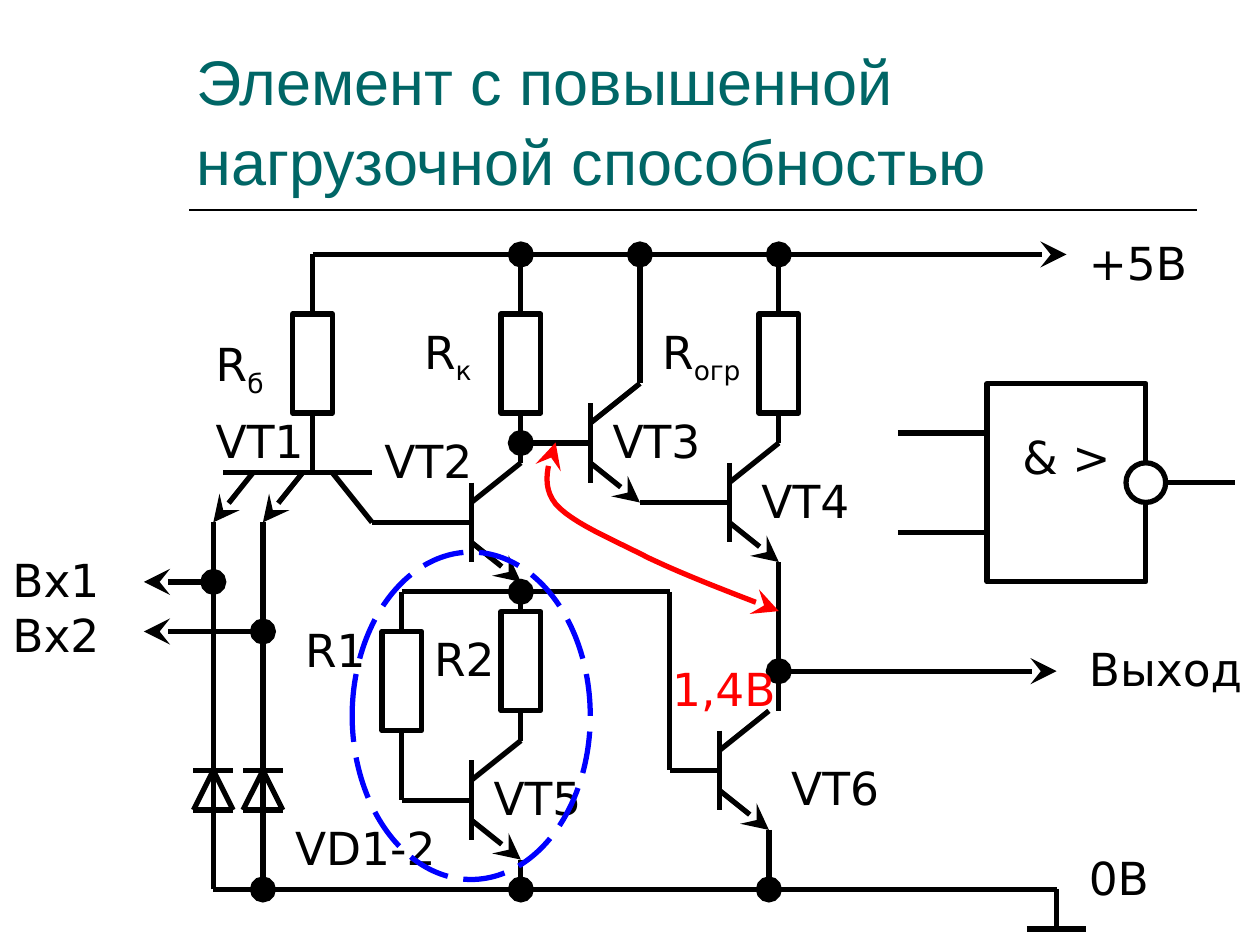
"""Build a slide with the circuit of a logic gate with raised load capacity."""
from itertools import pairwise

from pptx import Presentation
from pptx.dml.color import RGBColor
from pptx.enum.dml import MSO_LINE
from pptx.enum.shapes import MSO_CONNECTOR, MSO_SHAPE
from pptx.enum.text import MSO_ANCHOR as ANCHOR, PP_ALIGN as ALIGN
from pptx.oxml.ns import qn
from pptx.oxml.xmlchemy import OxmlElement as new_element
from pptx.util import Cm, Pt

COLORS = {
    "title": "006666",
    "ink": "000000",
    "paper": "FFFFFF",
    "voltage": "FF0000",
    "group": "0000FF",
}
TITLE_FONT, LABEL_FONT = "Arial", "DejaVu Sans"
SUPPLY, GROUND, OUTPUT, NODE = 5.13, 17.93, 13.53, 11.93
TRANSISTORS = [(9.5, 9.73), (11.9, 8.13), (14.7, 9.33), (9.5, 15.33), (14.5, 14.73)]
RESISTORS = [(6.3, 6.33), (10.5, 6.33), (15.7, 6.33), (8.1, 12.73), (10.5, 12.33)]
INPUTS = [(4.3, 11.73), (5.3, 12.73)]
WIRES = [
    [(6.3, 6.33), (6.3, SUPPLY), (15.7, SUPPLY)],
    [(6.3, 8.33), (6.3, 9.53)],
    [(4.5, 9.53), (7.5, 9.53)],
    [(6.7, 9.53), (7.5, 10.53), (9.5, 10.53)],
    [(10.5, 8.33), (10.5, 9.33)],
    [(12.9, 10.13), (14.7, 10.13)],
    [(15.7, 8.33), (15.7, 8.93)],
    [(15.7, 11.33), (15.7, 14.33)],
    [(10.5, 11.73), (10.5, 12.33)],
    [(10.5, 14.33), (10.5, 14.93)],
    [(8.1, 14.73), (8.1, 16.13), (9.5, 16.13)],
    [(10.5, NODE), (13.5, NODE), (13.5, 15.53), (14.5, 15.53)],
    [(4.3, GROUND), (21.3, GROUND), (21.3, 18.73)],
    [(20.7, 18.73), (21.9, 18.73)],
    [(18.1, 8.73), (19.9, 8.73)],
    [(18.1, 10.73), (19.9, 10.73)],
    [(23.1, 9.73), (24.9, 9.73)],
]
DOTTED_WIRES = [
    [(10.5, 6.33), (10.5, SUPPLY)],
    [(12.9, 7.73), (12.9, SUPPLY)],
    [(15.7, 6.33), (15.7, SUPPLY)],
    [(11.9, 8.93), (10.5, 8.93)],
    [(8.1, 12.73), (8.1, NODE), (10.5, NODE)],
    [(10.5, 17.33), (10.5, GROUND)],
    [(15.5, 16.73), (15.5, GROUND)],
]
LABELS = [
    ("+5В", "", 21.7, 4.53, 2.6),
    ("Выход", "", 21.7, 12.73, 3.7),
    ("0В", "", 21.7, 16.93, 2.6),
    ("R", "б", 4.1, 6.58, 1.8),
    ("R", "к", 8.3, 6.33, 1.8),
    ("R", "огр", 13.1, 6.33, 2.2),
    ("R1", "", 5.9, 12.33, 1.8),
    ("R2", "", 8.5, 12.53, 1.8),
    ("VT1", "", 4.1, 8.13, 2.6),
    ("VT2", "", 7.5, 8.53, 2.6),
    ("VT3", "", 12.1, 8.13, 2.6),
    ("VT4", "", 15.1, 9.33, 2.6),
    ("VT5", "", 9.7, 15.33, 2.6),
    ("VT6", "", 15.7, 15.13, 2.6),
    ("VD1-2", "", 5.7, 16.33, 4.6),
]
DROP_CURVE = [
    ((11.2, 8.92), (11.05, 9.35), (10.9, 9.78), (11.2, 10.16)),
    ((11.2, 10.16), (11.53, 10.54), (12.34, 10.87), (13.08, 11.25)),
    ((13.08, 11.25), (13.84, 11.61), (14.76, 11.96), (15.7, 12.32)),
]


def color(name):
    """Return the named colour."""
    return RGBColor.from_string(COLORS[name])


def style_line(shape, name="ink", width=3, start=None, end=None):
    """Set line colour, width and large end marks."""
    shape.line.color.rgb = color(name)
    shape.line.width = Pt(width)
    outline = shape._element.spPr.find(qn("a:ln"))
    for tag, mark in (("a:headEnd", start), ("a:tailEnd", end)):
        if mark:
            tip = new_element(tag)
            for key, value in (("type", mark), ("w", "lg"), ("len", "lg")):
                tip.set(key, value)
            outline.append(tip)


def add_wire(page, points, start=None, end=None, width=3):
    """Join the points with straight connectors."""
    segments = list(pairwise(points))
    for index, (first, last) in enumerate(segments):
        wire = page.shapes.add_connector(
            MSO_CONNECTOR.STRAIGHT, *(Cm(value) for value in first + last))
        style_line(wire, "ink", width, start if index == 0 else None,
                   end if index == len(segments) - 1 else None)
        wire._element.spPr.append(new_element("a:effectLst"))


def add_figure(page, kind, left, top, width, height, line="ink", filled=True):
    """Add an outlined preset shape."""
    figure = page.shapes.add_shape(kind, Cm(left), Cm(top), Cm(width), Cm(height))
    figure.shadow.inherit = False
    if filled:
        figure.fill.solid()
        figure.fill.fore_color.rgb = color("paper")
    else:
        figure.fill.background()
    style_line(figure, line)
    return figure


def add_span(para, text, size=26, name="ink", font=LABEL_FONT, lowered=False):
    """Add one formatted run."""
    span = para.add_run()
    span.text = text
    span.font.size, span.font.name = Pt(size), font
    span.font.color.rgb = color(name)
    if lowered:
        span._r.get_or_add_rPr().set("baseline", "-25000")


def add_box(page, left, top, width, height):
    """Add a wrapping text box and return its text frame."""
    box = page.shapes.add_textbox(Cm(left), Cm(top), Cm(width), Cm(height))
    box.text_frame.word_wrap = True
    return box.text_frame


def add_label(page, text, subscript, left, top, width, name="ink"):
    """Add a part label with an optional subscript."""
    frame = add_box(page, left, top, width, 1.37)
    frame.margin_top = Cm(0.2)
    para = frame.paragraphs[0]
    add_span(para, text, name=name)
    if subscript:
        add_span(para, subscript, lowered=True)
    return para


def add_title(page):
    """Add the title and its rule."""
    frame = add_box(page, 3.71, 0.13, 20.32, 3.99)
    frame.vertical_anchor = ANCHOR.BOTTOM
    para = frame.paragraphs[0]
    para.line_spacing = 1.06
    add_span(para, "Элемент с повышенной нагрузочной способностью", 36, "title", TITLE_FONT)
    add_wire(page, [(3.81, 4.24), (24.13, 4.24)], width=1)


def add_transistor(page, x, y):
    """Draw base bar, collector and emitter."""
    add_wire(page, [(x, y), (x, y + 1.6)])
    add_wire(page, [(x, y + 0.4), (x + 1, y - 0.4)])
    add_wire(page, [(x, y + 1.2), (x + 1, y + 2)], end="stealth")


def add_input(page, x, y):
    """Draw an input with its emitter, terminal and clamp diode."""
    add_wire(page, [(x + 0.8, 9.53), (x, 10.53)], end="stealth")
    add_wire(page, [(x, 10.53), (x, y)])
    add_wire(page, [(x, y), (2.9, y)], end="stealth")
    add_wire(page, [(x, GROUND), (x, y)], end="oval")
    add_wire(page, [(x - 0.4, 15.53), (x + 0.4, 15.53)])
    add_wire(page, [(x, 15.53), (x + 0.4, 16.33), (x - 0.4, 16.33), (x, 15.53)])


def add_gate(page):
    """Draw the gate symbol with its inverted output."""
    gate = add_figure(page, MSO_SHAPE.RECTANGLE, 19.9, 7.73, 3.2, 4)
    frame = gate.text_frame
    frame.word_wrap, frame.vertical_anchor = False, ANCHOR.MIDDLE
    frame.margin_bottom = Cm(1.2)
    frame.paragraphs[0].alignment = ALIGN.CENTER
    add_span(frame.paragraphs[0], "& >")
    add_figure(page, MSO_SHAPE.OVAL, 22.7, 9.33, 0.8, 0.8)


def add_drop_arrow(page, steps=12):
    """Draw the two-headed voltage curve."""
    points = []
    for curve in DROP_CURVE:
        for step in range(1, steps + 1):
            t = step / steps
            weights = ((1 - t) ** 3, 3 * t * (1 - t) ** 2, 3 * t * t * (1 - t), t ** 3)
            points.append(tuple(
                Cm(sum(w * v for w, v in zip(weights, axis))) for axis in zip(*curve)))
    builder = page.shapes.build_freeform(*(Cm(value) for value in DROP_CURVE[0][0]))
    builder.add_line_segments(points, close=False)
    arrow = builder.convert_to_shape()
    arrow.shadow.inherit = False
    arrow.fill.background()
    style_line(arrow, "voltage", start="stealth", end="stealth")


def main():
    """Build and save the deck."""
    deck = Presentation()
    deck.slide_width, deck.slide_height = Cm(25.4), Cm(19.05)
    page = deck.slides.add_slide(deck.slide_layouts[6])
    add_title(page)
    for points in WIRES:
        add_wire(page, points)
    for points in DOTTED_WIRES:
        add_wire(page, points, end="oval")
    add_wire(page, [(5.3, GROUND), (5.3, 12.73)], start="oval")
    add_wire(page, [(15.7, SUPPLY), (21.5, SUPPLY)], end="stealth")
    add_wire(page, [(15.7, OUTPUT), (21.3, OUTPUT)], start="oval", end="stealth")
    for x, y in INPUTS:
        add_input(page, x, y)
    for x, y in TRANSISTORS:
        add_transistor(page, x, y)
    for x, y in RESISTORS:
        add_figure(page, MSO_SHAPE.RECTANGLE, x - 0.4, y, 0.8, 2)
    add_gate(page)
    for label in LABELS:
        add_label(page, *label)
    inputs = add_label(page, "Вх1", "", 0, 10.93, 2.6)
    inputs.add_line_break()
    add_span(inputs, "Вх2")
    add_drop_arrow(page)
    add_label(page, "1,4В", "", 13.3, 13.13, 3.2, "voltage")
    group = add_figure(page, MSO_SHAPE.OVAL, 7.1, 11.13, 4.8, 6.6, "group", False)
    group.line.dash_style = MSO_LINE.LONG_DASH
    deck.save("out.pptx")


if __name__ == "__main__":
    main()
